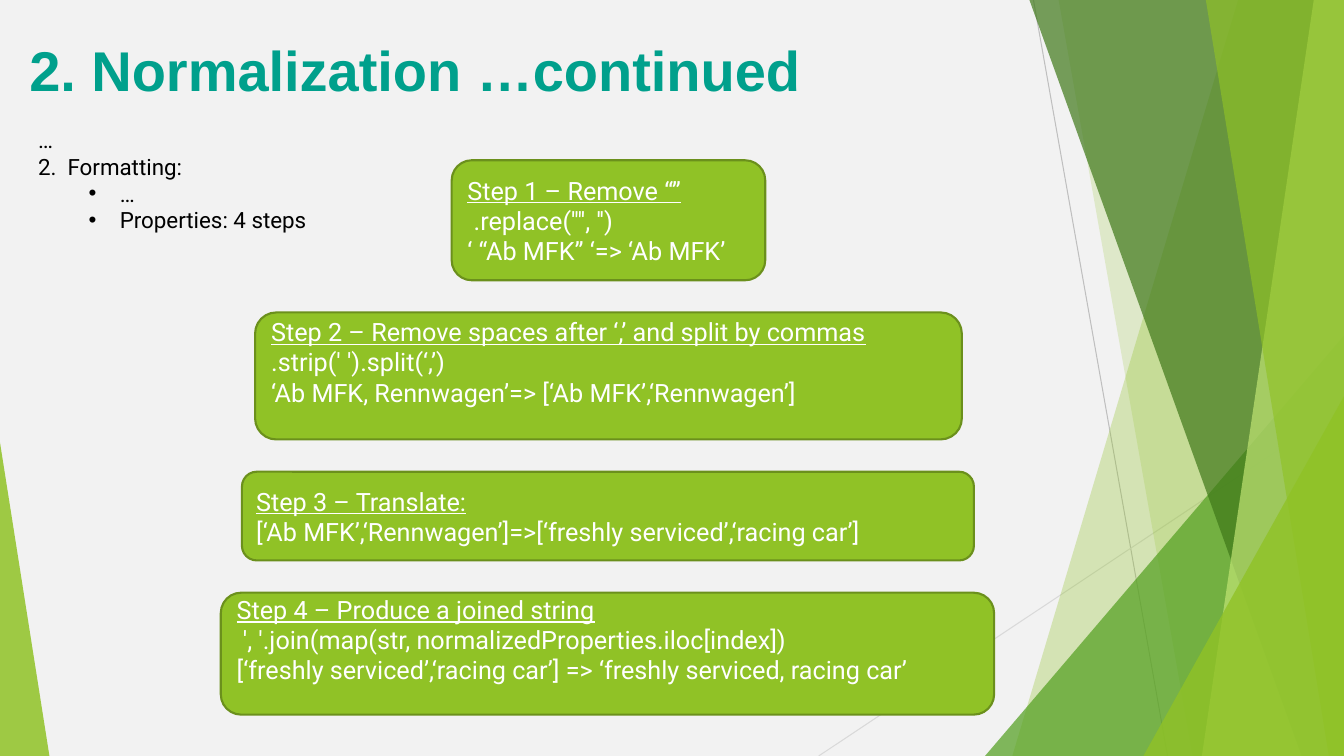
"""Build the slide on the four normalization formatting steps."""
from pptx import Presentation
from pptx.dml.color import RGBColor
from pptx.enum import shapes, text
from pptx.oxml.ns import qn
from pptx.util import Inches, Pt

COLORS = {
    "page": "F2F2F2", "title": "00A08C", "body": "000000", "white": "FFFFFF",
    "lime": "90C226", "edge": "6B901C", "green": "54A021", "dark": "3F7819",
    "pale": "C0E474", "gray": "BFBFBF", "light": "D9D9D9",
}
W, H = 13.33, 7.5
TITLE = "2. Normalization …continued"
BODY = [("…", False), ("2.  Formatting:", False), ("…", True), ("Properties: 4 steps", True)]
STEPS = [
    ((4.48, 1.59, 3.11, 1.19), 0,
     ["Step 1 – Remove “”", " .replace('\"', '')", "‘ “Ab MFK” ‘=> ‘Ab MFK’"]),
    ((2.53, 3.1, 7.01, 1.26), 0.28,
     ["Step 2 – Remove spaces after ‘,’ and split by commas", ".strip(' ').split(‘,’)",
      "‘Ab MFK, Rennwagen’=> [‘Ab MFK’,‘Rennwagen’]"]),
    ((2.4, 4.68, 7.26, 0.88), 0,
     ["Step 3 – Translate:", "[‘Ab MFK’,‘Rennwagen’]=>[‘freshly serviced’,‘racing car’]"]),
    ((2.19, 5.88, 7.67, 1.21), 0.28,
     ["Step 4 – Produce a joined string",
      " ', '.join(map(str, normalizedProperties.iloc[index])",
      "[‘freshly serviced’,‘racing car’] => ‘freshly serviced, racing car’"]),
]
RAYS = [((10.25, 0, 11.58, H), "gray"), ((W, 4.03, 8.12, H), "light")]
BAND, TRIANGLE = "band", "triangle"
FACETS = [
    (BAND, (12.28, 10.04), "lime", 30),
    (BAND, (10.5, 11.83), "lime", 20),
    (TRIANGLE, (9.77, 3.33, 3.56, 1), "green", 72),
    (BAND, (10.21, 12.91), "dark", 70),
    (BAND, (13.03, 11.92), "pale", 70),
    (BAND, (11.96, 13.18), "lime", 65),
    (TRIANGLE, (11.34, 3.93, 1.99, 1), "lime", 80),
    (TRIANGLE, (0, 4.39, 0.49, 0), "lime", 85),
]


def rgb(name):
    return RGBColor.from_string(COLORS[name])


def paint(sp, fill, alpha=100, line=None):
    sp.shadow.inherit = False
    sp.fill.solid()
    sp.fill.fore_color.rgb = rgb(fill)
    if alpha < 100:
        clr = sp.fill._xPr.find(qn("a:solidFill"))[0]
        clr.makeelement(qn("a:alpha"), {})
        a = clr.makeelement(qn("a:alpha"), {"val": str(alpha * 1000)})
        clr.append(a)
    if line:
        sp.line.color.rgb = rgb(line)
        sp.line.width = Pt(1.5)
    else:
        sp.line.fill.background()


def write(tf, lines, size, font, color):
    tf.text = "\n".join(lines)
    for p in tf.paragraphs:
        p.alignment = text.PP_ALIGN.LEFT
        for r in p.runs:
            r.font.size = Pt(size)
            r.font.name = font
            r.font.color.rgb = rgb(color)


def add_ray(s, ends, color):
    ray = s.shapes.add_connector(shapes.MSO_CONNECTOR.STRAIGHT, *map(Inches, ends))
    ray.line.color.rgb = rgb(color)
    ray.line.width = Pt(0.75)
    spPr = ray._element.spPr
    spPr.append(spPr.makeelement(qn("a:effectLst"), {}))


def add_facet(s, kind, geometry, color, alpha):
    if kind == BAND:
        top, bottom = geometry
        fb = s.shapes.build_freeform(Inches(top), 0)
        corners = [(W, 0), (W, H), (bottom, H)]
        fb.add_line_segments([(Inches(x), Inches(y)) for x, y in corners], close=True)
        sp = fb.convert_to_shape()
    else:
        x, y, width, apex = geometry
        sp = s.shapes.add_shape(shapes.MSO_SHAPE.ISOSCELES_TRIANGLE,
                                *map(Inches, (x, y, width, H - y)))
        sp.adjustments[0] = apex
    paint(sp, color, alpha)


def add_title(s):
    sp = s.shapes.title
    sp.left, sp.top, sp.width, sp.height = map(Inches, (0.19, 0.3, 7.93, 0.77))
    tf = sp.text_frame
    tf.word_wrap = False
    tf.vertical_anchor = text.MSO_ANCHOR.TOP
    write(tf, [TITLE], 40, "Arial", "title")
    tf.paragraphs[0].runs[0].font.bold = True


def add_body(s):
    tf = s.shapes.add_textbox(*map(Inches, (0.28, 1.2, 3.64, 1.72))).text_frame
    tf.word_wrap = True
    write(tf, [line for line, _ in BODY], 16, "Roboto", "body")
    for p, (_, bulleted) in zip(tf.paragraphs, BODY):
        if bulleted:
            p.level = 1
            pPr = p._p.get_or_add_pPr()
            pPr.set("marL", str(Inches(0.81)))
            pPr.set("indent", str(Inches(-0.31)))
            for tag, attrs in (("a:buFont", {"typeface": "Arial"}), ("a:buChar", {"char": "•"})):
                pPr.append(pPr.makeelement(qn(tag), attrs))


def add_step(s, box, spare, lines):
    sp = s.shapes.add_shape(shapes.MSO_SHAPE.ROUNDED_RECTANGLE, *map(Inches, box))
    paint(sp, "lime", line="edge")
    tf = sp.text_frame
    tf.word_wrap = True
    tf.vertical_anchor = text.MSO_ANCHOR.MIDDLE
    tf.margin_top, tf.margin_bottom = 0, Inches(spare)
    write(tf, lines, 18, "Roboto", "white")
    tf.paragraphs[0].runs[0].font.underline = True


def main():
    prs = Presentation()
    prs.slide_width, prs.slide_height = Inches(W), Inches(H)
    s = prs.slides.add_slide(prs.slide_layouts[5])
    s.background.fill.solid()
    s.background.fill.fore_color.rgb = rgb("page")
    for ray in RAYS:
        add_ray(s, *ray)
    for facet in FACETS:
        add_facet(s, *facet)
    add_title(s)
    add_body(s)
    for step in STEPS:
        add_step(s, *step)
    prs.save("out.pptx")


if __name__ == "__main__":
    main()
